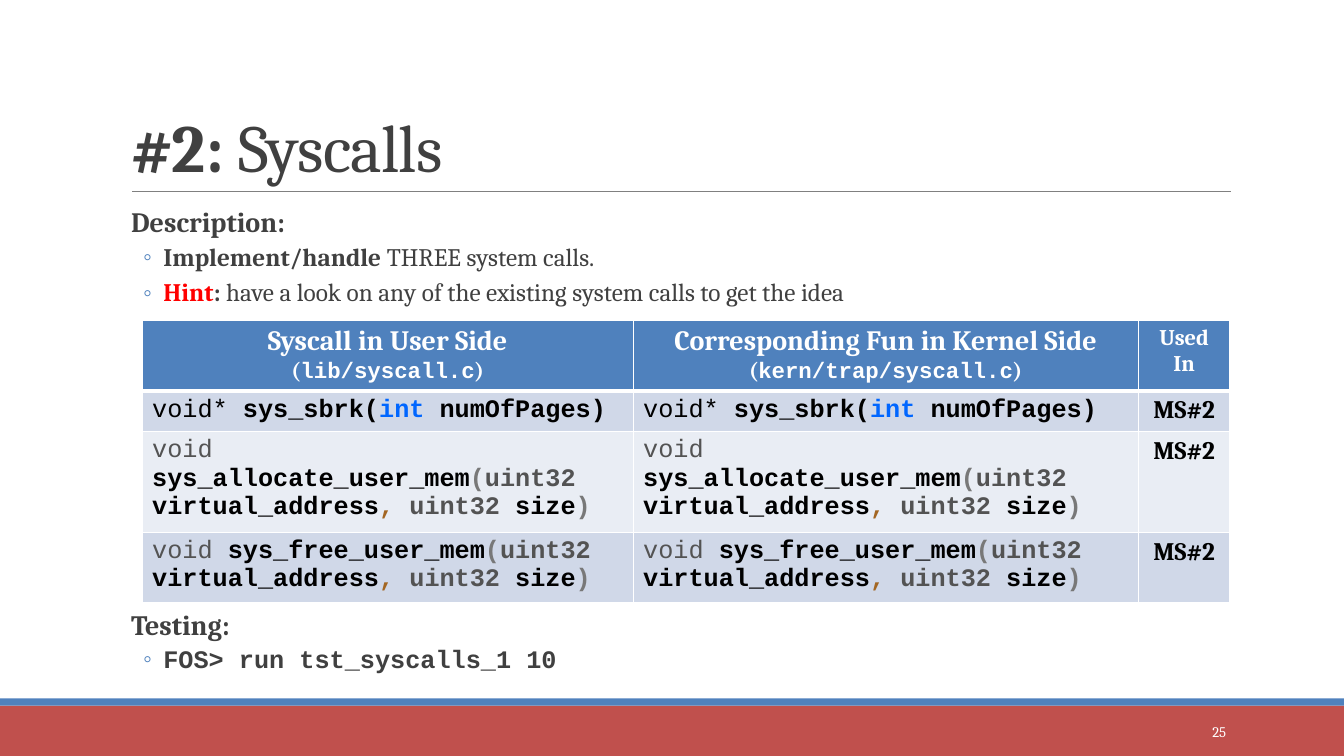
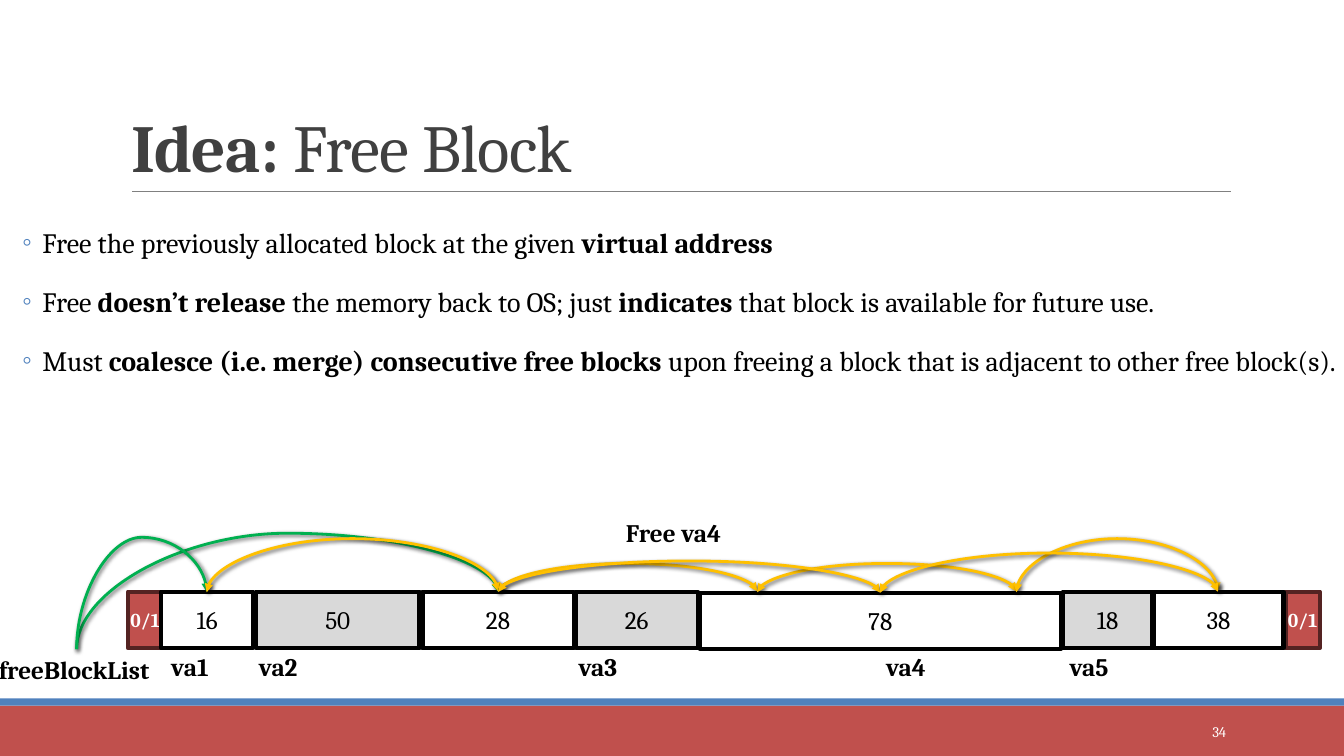
from dataclasses import dataclass
from typing import Any, Optional

import lxml.etree
import pptx
import pptx.dml.color
import pptx.enum.shapes
import pptx.enum.text
import pptx.oxml.ns
import pptx.util

PX = 9144  # EMU per px, 100 px to the inch
SERIF, MONO = "Cambria", "Courier New"
COLORS = {
    "white": "FFFFFF", "black": "000000", "text": "404040", "rule": "808080",
    "blue": "4F81BD", "red": "C0504D", "maroon": "542322", "hint": "FF0000",
    "band_dark": "D0D8E8", "band_light": "E9EDF4", "grey": "D9D9D9",
    "keyword": "0066FF", "type": "535353", "paren": "787878", "comma": "A36622",
    "yellow": "FFC000", "green": "00B050",
}
ALIGN = pptx.enum.text.PP_ALIGN
ANCHOR = pptx.enum.text.MSO_ANCHOR
AUTO = pptx.enum.text.MSO_AUTO_SIZE
CONNECTOR = pptx.enum.shapes.MSO_CONNECTOR
RECT = pptx.enum.shapes.MSO_SHAPE.RECTANGLE
qn = pptx.oxml.ns.qn


@dataclass(frozen=True)
class Run:
    text: str
    bold: Optional[bool] = None
    color: Optional[str] = None
    font: Optional[str] = None
    size: Optional[int] = None


@dataclass(frozen=True)
class Para:
    runs: tuple[Run, ...]
    size: float = 18
    color: str = "black"
    bold: bool = False
    font: str = SERIF
    align: Any = ALIGN.LEFT


@dataclass(frozen=True)
class Item:
    para: Para
    bullet: bool = True
    line: float = 0.9
    before: int = 2
    after: int = 4


@dataclass(frozen=True)
class Block:
    name: str
    text: str
    left: int
    width: int
    fill: str = "white"
    top: int = 587
    line: str = "black"
    ink: str = "black"
    size: int = 18
    bold: bool = False


@dataclass(frozen=True)
class Stop:
    x: int
    y: int
    shape: Any = None


@dataclass(frozen=True)
class Hop:
    start: str
    end: str
    peak: int
    color: str = "yellow"


def px(n: float) -> int:
    return int(n * PX)


def box(*lengths: int) -> list[int]:
    return [px(n) for n in lengths]


def rgb(name: str) -> pptx.dml.color.RGBColor:
    return pptx.dml.color.RGBColor.from_string(COLORS[name])


def sub(parent: Any, tag: str, **attrs: Any) -> Any:
    return lxml.etree.SubElement(parent, qn(tag), {k: str(v) for k, v in attrs.items()})


def plain(text: str, **style: Any) -> Para:
    return Para((Run(text),), **style)


# Text
def write_para(p: Any, para: Para) -> None:
    p.alignment = para.align
    f = p.font
    f.name, f.size, f.bold = para.font, pptx.util.Pt(para.size), para.bold
    f.color.rgb = rgb(para.color)
    for run in para.runs:
        r = p.add_run()
        r.text = run.text
        if run.bold is not None:
            r.font.bold = run.bold
        if run.color:
            r.font.color.rgb = rgb(run.color)
        if run.font:
            r.font.name = run.font
        if run.size:
            r.font.size = pptx.util.Pt(run.size)


def write(tf: Any, paras: tuple[Para, ...]) -> list[Any]:
    ps = [tf.paragraphs[0]] + [tf.add_paragraph() for _ in paras[1:]]
    for p, para in zip(ps, paras):
        write_para(p, para)
    return ps


def place(sp: Any, left: int, top: int, width: int, height: int) -> None:
    sp.left, sp.top, sp.width, sp.height = box(left, top, width, height)


def write_list(sp: Any, items: tuple[Item, ...]) -> None:
    tf = sp.text_frame
    tf.auto_size, tf.word_wrap, tf.vertical_anchor = AUTO.NONE, True, ANCHOR.TOP
    tf.margin_left = tf.margin_right = 0
    tf.margin_top = tf.margin_bottom = px(5)
    for p, item in zip(write(tf, tuple(i.para for i in items)), items):
        p.level = int(item.bullet)
        p.line_spacing = item.line
        p.space_before = pptx.util.Pt(item.before)
        p.space_after = pptx.util.Pt(item.after)
        props = p._p.get_or_add_pPr()
        props.set("marL", str(px(42 if item.bullet else 10)))
        props.set("indent", str(px(-20 if item.bullet else 0)))
        marks = []
        if item.bullet:
            color = lxml.etree.Element(qn("a:buClr"))
            sub(color, "a:srgbClr", val=COLORS["blue"])
            mark = lxml.etree.Element(qn("a:buChar"), char="◦")
            marks = [color, mark]
        else:
            marks = [lxml.etree.Element(qn("a:buNone"))]
        for mark in marks:
            props.find(qn("a:defRPr")).addprevious(mark)


# Shapes
def add_rect(s: Any, bounds: tuple[int, int, int, int], fill: str,
             line: Optional[str] = None) -> Any:
    sp = s.shapes.add_shape(RECT, *box(*bounds))
    sp.shadow.inherit = False
    sp.fill.solid()
    sp.fill.fore_color.rgb = rgb(fill)
    if line:
        sp.line.color.rgb = rgb(line)
        sp.line.width = pptx.util.Pt(3)
    else:
        sp.line.fill.background()
    return sp


def add_label(s: Any, text: str, left: int, top: int, width: int) -> Any:
    sp = s.shapes.add_textbox(*box(left, top, width, 40))
    tf = sp.text_frame
    tf.word_wrap, tf.auto_size = False, AUTO.SHAPE_TO_FIT_TEXT
    write(tf, (plain(text, bold=True),))
    return sp


def add_block(s: Any, block: Block) -> Stop:
    sp = add_rect(s, (block.left, block.top, block.width, 56), block.fill, block.line)
    tf = sp.text_frame
    tf.margin_left = tf.margin_right = tf.margin_top = tf.margin_bottom = 0
    tf.vertical_anchor = ANCHOR.MIDDLE
    write(tf, (plain(block.text, size=block.size, color=block.ink, bold=block.bold,
                     align=ALIGN.CENTER),))
    return Stop(block.left + block.width // 2, block.top, sp)


def add_hop(s: Any, hop: Hop, stops: dict[str, Stop]) -> None:
    a, b = stops[hop.start], stops[hop.end]
    rise = a.y - b.y or 1
    c = s.shapes.add_connector(CONNECTOR.CURVE, *box(a.x, a.y, b.x, b.y))
    if a.shape is not None:
        c.begin_connect(a.shape, 0)
    if b.shape is not None:
        c.end_connect(b.shape, 0)
    # A quarter turn makes the curve leave and arrive vertically
    w, h = abs(rise), b.x - a.x
    place(c, (a.x + b.x - w) / 2, (a.y + b.y - h) / 2, w, h)
    props = c._element.spPr
    frame = props.find(qn("a:xfrm"))
    frame.set("rot", str(270 * 60000))
    frame.set("flipH", str(int(rise < 0)))
    frame.set("flipV", "0")
    guides = props.find(qn("a:prstGeom")).find(qn("a:avLst"))
    bend = round((a.y - hop.peak) / rise * 100000)
    sub(guides, "a:gd", name="adj1", fmla=f"val {bend}")
    c.line.color.rgb = rgb(hop.color)
    c.line.width = pptx.util.Pt(2)
    ln = props.find(qn("a:ln"))
    if hop.color == "yellow":
        sub(ln, "a:headEnd", type="triangle")
    sub(ln, "a:tailEnd", type="triangle")
    shadow = sub(sub(props, "a:effectLst"), "a:outerShdw", blurRad=38100, dist=25400,
                 dir=45 * 60000, rotWithShape=0)
    sub(sub(shadow, "a:srgbClr", val=COLORS["black"]), "a:alpha", val=60000)


# Shared slide frame: bands, rule, title and number
def new_slide(prs: Any, lead: str, rest: str, number: int) -> Any:
    s = prs.slides.add_slide(prs.slide_layouts[1])
    add_rect(s, (0, 700, 1333, 50), "red")
    add_rect(s, (0, 693, 1333, 7), "blue")
    rule = s.shapes.add_connector(CONNECTOR.STRAIGHT, *box(131, 190, 1221, 190))
    rule.line.color.rgb = rgb("rule")
    rule.line.width = pptx.util.Pt(0.5)
    sub(rule._element.spPr, "a:effectLst")
    title = s.shapes.title
    place(title, 120, 31, 1100, 159)
    tf = title.text_frame
    tf.auto_size, tf.vertical_anchor = AUTO.NONE, ANCHOR.BOTTOM
    p = write(tf, (Para((Run(lead, True), Run(rest)), size=48, color="text"),))[0]
    p.line_spacing = 0.85
    for r in p.runs:
        r._r.get_or_add_rPr().set("spc", "-50")
    tf = s.shapes.add_textbox(*box(1083, 706, 143, 40)).text_frame
    tf.word_wrap, tf.vertical_anchor = True, ANCHOR.MIDDLE
    write(tf, (plain(str(number), size=10.5, color="white", align=ALIGN.RIGHT),))
    return s


# Syscall table
def header(text: str, file: str) -> tuple[Para, ...]:
    style = {"color": "white", "bold": True, "align": ALIGN.CENTER}
    source = (Run("("), Run(file, font=MONO), Run(")"))
    if text.startswith("Syscall"):
        return plain(text, size=20, **style), Para(source, size=16, **style)
    sized = tuple(Run(r.text, font=r.font, size=16) for r in source)
    return (Para((Run(text + " ", size=20),) + sized, size=20, **style),)


def memory_call(name: str) -> Para:
    return Para((Run("void ", False, "type"), Run(name), Run("(", color="paren"),
                 Run("uint32 ", color="type"), Run("virtual_address"),
                 Run(", ", color="comma"), Run("uint32", color="type"), Run(" size"),
                 Run(")", color="paren")), bold=True, font=MONO)


def fill_cell(cell: Any, paras: tuple[Para, ...], fill: str, bottom: int) -> None:
    props = cell._tc.get_or_add_tcPr()
    for side, width in (("L", 1), ("R", 1), ("T", 1), ("B", bottom)):
        ln = sub(props, f"a:ln{side}", w=width * 12700)
        sub(sub(ln, "a:solidFill"), "a:srgbClr", val=COLORS["white"])
    cell.fill.solid()
    cell.fill.fore_color.rgb = rgb(fill)
    write(cell.text_frame, paras)


def add_syscall_table(s: Any) -> None:
    sbrk = Para((Run("void* ", False), Run("sys_sbrk("), Run("int ", color="keyword"),
                 Run("numOfPages)")), bold=True, font=MONO)
    calls = (sbrk, memory_call("sys_allocate_user_mem"), memory_call("sys_free_user_mem"))
    milestone = plain("MS#2", bold=True, align=ALIGN.CENTER)
    used = plain("Used In", size=16, color="white", bold=True, align=ALIGN.CENTER)
    rows = [(header("Syscall in User Side", "lib/syscall.c"),
             header("Corresponding Fun in Kernel Side", "kern/trap/syscall.c"), (used,))]
    rows += [((call,), (call,), (milestone,)) for call in calls]
    heights, widths = (68, 40, 95, 67), (487, 501, 91)
    table = s.shapes.add_table(4, 3, *box(141, 318, sum(widths), sum(heights))).table
    for column, width in zip(table.columns, widths):
        column.width = px(width)
    for i, (row, height) in enumerate(zip(rows, heights)):
        table.rows[i].height = px(height)
        fill = "blue" if i == 0 else "band_dark" if i % 2 else "band_light"
        for j, paras in enumerate(row):
            fill_cell(table.cell(i, j), paras, fill, 1 if i else 3)


def build_syscalls(prs: Any) -> None:
    s = new_slide(prs, "#2: ", "Syscalls", 25)
    body = s.placeholders[1]
    place(body, 120, 202, 1100, 491)
    head = {"size": 20, "color": "text", "bold": True}
    write_list(body, (
        Item(plain("Description:", **head), False, before=12, after=2),
        Item(Para((Run("Implement/handle ", True), Run("THREE system calls.")), color="text")),
        Item(Para((Run("Hint", True, "hint"), Run(":", True),
                   Run(" have a look on any of the existing system calls to get the idea")),
                  color="text")),
        Item(plain("Testing:", **head), False, before=213, after=2),
        Item(plain("FOS> run tst_syscalls_1 10", color="text", bold=True, font=MONO)),
    ))
    add_syscall_table(s)


def build_free_block(prs: Any) -> None:
    s = new_slide(prs, "Idea: ", "Free Block", 34)
    body = s.placeholders[1]
    place(body, 0, 202, 1333, 250)
    points = (
        (Run("Free the previously allocated block at the given "), Run("virtual address", True)),
        (Run("Free "), Run("doesn’t release ", True), Run("the memory back to OS; just "),
         Run("indicates", True), Run(" that block is available for future use.")),
        (Run("Must "), Run("coalesce (i.e. merge) consecutive free blocks ", True),
         Run("upon freeing a block that is adjacent to other free block(s).")),
    )
    write_list(body, tuple(Item(Para(runs, size=20, align=ALIGN.JUSTIFY), line=1.5)
                           for runs in points))

    # Heap blocks and their addresses
    edge = {"fill": "red", "line": "maroon", "ink": "white", "size": 14, "bold": True}
    blocks = (
        Block("first", "0/1", 127, 34, **edge), Block("50", "50", 254, 162, "grey"),
        Block("26", "26", 571, 121, "grey"), Block("28", "28", 419, 150),
        Block("last", "0/1", 1275, 34, **edge), Block("38", "38", 1144, 129),
        Block("18", "18", 1054, 89, "grey"), Block("16", "16", 160, 91),
        Block("78", "78", 694, 358, top=588),
    )
    stops = {block.name: add_block(s, block) for block in blocks}
    for i, left in enumerate((160, 247, 564, 869, 1051), 1):
        add_label(s, f"va{i}", left, 641, 61)
    add_label(s, "Free va4", 611, 508, 118)
    stops["list"] = Stop(76, 644, add_label(s, "freeBlockList", -11, 644, 174))
    stops["old va4"], stops["old tail"] = Stop(751, 587), Stop(1008, 587)

    # Free list links
    for hop in (Hop("28", "old va4", 558), Hop("old va4", "old tail", 558),
                Hop("list", "28", 529, "green"), Hop("old tail", "38", 533),
                Hop("list", "16", 533, "green"), Hop("16", "28", 533),
                Hop("28", "78", 556), Hop("78", "38", 548)):
        add_hop(s, hop, stops)


def main() -> None:
    prs = pptx.Presentation()
    prs.slide_width, prs.slide_height = box(1333, 750)
    build_syscalls(prs)
    build_free_block(prs)
    prs.save("out.pptx")


if __name__ == "__main__":
    main()
